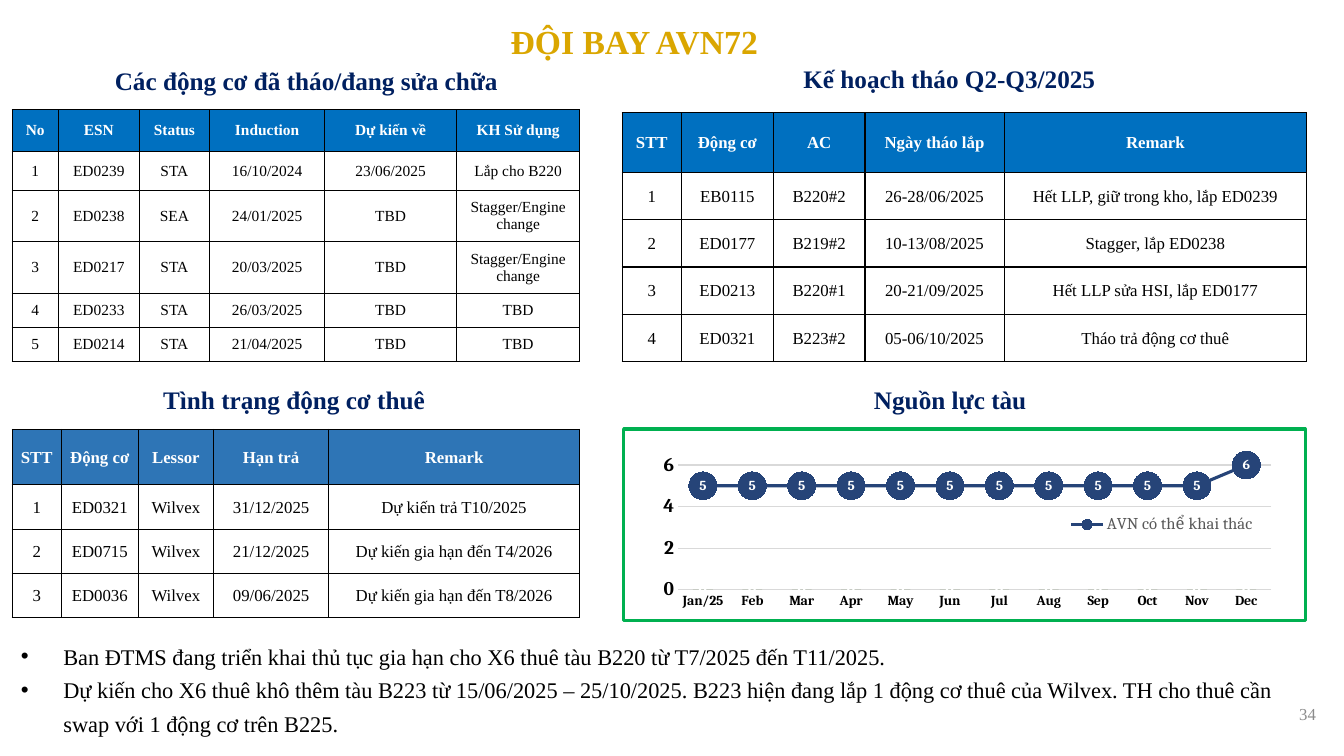
from dataclasses import dataclass

from lxml.etree import SubElement
from pptx import Presentation
from pptx.chart.chart import Chart
from pptx.chart.data import CategoryChartData
from pptx.dml.color import RGBColor
from pptx.enum.chart import (XL_CHART_TYPE, XL_LABEL_POSITION, XL_LEGEND_POSITION,
                             XL_MARKER_STYLE, XL_TICK_MARK)
from pptx.enum.text import MSO_ANCHOR, MSO_AUTO_SIZE, PP_ALIGN
from pptx.oxml import parse_xml
from pptx.oxml.ns import nsdecls, qn
from pptx.slide import Slide
from pptx.table import _Cell
from pptx.text.text import Font
from pptx.util import Inches, Pt

COLORS = {
    "gold": "DAA600", "navy": "002060", "header": "0070C0", "lease_header": "2E75B6",
    "black": "000000", "white": "FFFFFF", "grid": "D9D9D9", "legend": "595959",
    "number": "8C8C8C", "frame": "00B050", "bar": "43682B", "line": "264478",
}
SERIF = "Times New Roman"
CHART_FONT = "Cambria"


@dataclass
class Heading:
    text: str
    left: float
    top: float
    width: float


@dataclass
class TableSpec:
    left: float
    top: float
    columns: list[float]
    heights: list[float]
    size: int
    margins: tuple[float, float, float, float]
    header_color: str
    rows: list[list[str]]


HEADINGS = [
    Heading("Kế hoạch tháo Q2-Q3/2025", 7.87, 0.58, 3.13),
    Heading("Các động cơ đã tháo/đang sửa chữa", 1.04, 0.6, 4.04),
    Heading("Tình trạng động cơ thuê", 1.52, 3.76, 2.82),
    Heading("Nguồn lực tàu", 8.57, 3.76, 1.73),
]
TIGHT = (0.01, 0.01, 0.01, 0)
ROOMY = (0.13, 0.07, 0.13, 0.07)
TABLES = [
    TableSpec(6.17, 1.12, [0.59, 0.91, 0.91, 1.38, 3], [0.59] + [0.47] * 4, 12, TIGHT, "header", [
        ["STT", "Động cơ", "AC", "Ngày tháo lắp", "Remark"],
        ["1", "EB0115", "B220#2", "26-28/06/2025", "Hết LLP, giữ trong kho, lắp ED0239"],
        ["2", "ED0177", "B219#2", "10-13/08/2025", "Stagger, lắp ED0238"],
        ["3", "ED0213", "B220#1", "20-21/09/2025", "Hết LLP sửa HSI, lắp ED0177"],
        ["4", "ED0321", "B223#2", "05-06/10/2025", "Tháo trả động cơ thuê"],
    ]),
    TableSpec(0.12, 4.26, [0.49, 0.76, 0.75, 1.14, 2.49], [0.55] + [0.44] * 3, 12, TIGHT,
              "lease_header", [
        ["STT", "Động cơ", "Lessor", "Hạn trả", "Remark"],
        ["1", "ED0321", "Wilvex", "31/12/2025", "Dự kiến trả T10/2025"],
        ["2", "ED0715", "Wilvex", "21/12/2025", "Dự kiến gia hạn đến T4/2026"],
        ["3", "ED0036", "Wilvex", "09/06/2025", "Dự kiến gia hạn đến T8/2026"],
    ]),
    TableSpec(0.12, 1.09, [0.46, 0.8, 0.7, 1.14, 1.31, 1.22],
              [0.41, 0.39, 0.51, 0.51, 0.34, 0.34], 11, ROOMY, "header", [
        ["No", "ESN", "Status", "Induction", "Dự kiến về", "KH Sử dụng"],
        ["1", "ED0239", "STA", "16/10/2024", "23/06/2025", "Lắp cho B220"],
        ["2", "ED0238", "SEA", "24/01/2025", "TBD", "Stagger/Engine change"],
        ["3", "ED0217", "STA", "20/03/2025", "TBD", "Stagger/Engine change"],
        ["4", "ED0233", "STA", "26/03/2025", "TBD", "TBD"],
        ["5", "ED0214", "STA", "21/04/2025", "TBD", "TBD"],
    ]),
]
MONTHS = ["Jan/25", "Feb", "Mar", "Apr", "May", "Jun", "Jul", "Aug", "Sep", "Oct", "Nov", "Dec"]
NOTES = [
    "Ban ĐTMS đang triển khai thủ tục gia hạn cho X6 thuê tàu B220 từ T7/2025 đến T11/2025.",
    "Dự kiến cho X6 thuê khô thêm tàu B223 từ 15/06/2025 – 25/10/2025. B223 hiện đang lắp "
    "1 động cơ thuê của Wilvex. TH cho thuê cần swap với 1 động cơ trên B225.",
]


def color(name: str) -> RGBColor:
    return RGBColor.from_string(COLORS[name])


def style(font: Font, size: int, shade: str, bold: bool = False, name: str = SERIF) -> None:
    font.size, font.bold, font.name = Pt(size), bold, name
    font.color.rgb = color(shade)


def add_title(page: Slide, text: str) -> None:
    title = page.shapes.title
    title.left, title.top, title.width, title.height = map(Inches, (3.14, 0.16, 6.3, 0.5))
    frame = title.text_frame
    frame.text = text
    frame.auto_size = MSO_AUTO_SIZE.NONE
    frame.vertical_anchor = MSO_ANCHOR.TOP
    frame.paragraphs[0].alignment = PP_ALIGN.CENTER
    style(frame.paragraphs[0].runs[0].font, 24, "gold", True)


def add_heading(page: Slide, heading: Heading) -> None:
    box = page.shapes.add_textbox(*map(Inches, (heading.left, heading.top, heading.width, 0.4)))
    box.text_frame.text = heading.text
    box.text_frame.word_wrap = False
    style(box.text_frame.paragraphs[0].runs[0].font, 18, "navy", True)


def add_borders(cell: _Cell) -> None:
    properties = cell._tc.get_or_add_tcPr()
    for index, side in enumerate(("lnL", "lnR", "lnT", "lnB")):
        properties.insert(index, parse_xml(
            f'<a:{side} {nsdecls("a")} w="12700"><a:solidFill>'
            f'<a:srgbClr val="{COLORS["black"]}"/></a:solidFill></a:{side}>'))


def add_grid(page: Slide, spec: TableSpec) -> None:
    table = page.shapes.add_table(
        len(spec.rows), len(spec.columns), Inches(spec.left), Inches(spec.top),
        Inches(sum(spec.columns)), Inches(sum(spec.heights))).table
    table.first_row = table.horz_banding = False
    for column, width in zip(table.columns, spec.columns):
        column.width = Inches(width)
    for row, height, texts in zip(table.rows, spec.heights, spec.rows):
        row.height = Inches(height)
        is_header = texts is spec.rows[0]
        for cell, text in zip(row.cells, texts):
            cell.text = text
            cell.vertical_anchor = MSO_ANCHOR.MIDDLE
            (cell.margin_left, cell.margin_top,
             cell.margin_right, cell.margin_bottom) = map(Inches, spec.margins)
            paragraph = cell.text_frame.paragraphs[0]
            paragraph.alignment = PP_ALIGN.CENTER
            style(paragraph.runs[0].font, spec.size, "white" if is_header else "black", is_header)
            if is_header:
                cell.fill.solid()
                cell.fill.fore_color.rgb = color(spec.header_color)
            else:
                cell.fill.background()
            add_borders(cell)


def manual_layout(x: float, y: float, width: float, height: float, inner: bool = False):
    target = '<c:layoutTarget val="inner"/>' if inner else ""
    return parse_xml(
        f'<c:layout {nsdecls("c")}><c:manualLayout>{target}<c:xMode val="edge"/>'
        f'<c:yMode val="edge"/><c:x val="{x}"/><c:y val="{y}"/><c:w val="{width}"/>'
        f'<c:h val="{height}"/></c:manualLayout></c:layout>')


def move_last_series_to_line(chart: Chart) -> None:
    """Turn the last column series into a line on the same axes."""
    bars = chart.plots[0]._element
    line = parse_xml(f'<c:lineChart {nsdecls("c")}><c:grouping val="standard"/>'
                     '<c:varyColors val="0"/></c:lineChart>')
    series = bars.findall(qn("c:ser"))[-1]
    for bar_only in series.findall(qn("c:invertIfNegative")):
        series.remove(bar_only)
    line.append(series)
    SubElement(line, qn("c:marker")).set("val", "1")
    for axis in bars.findall(qn("c:axId")):
        SubElement(line, qn("c:axId")).set("val", axis.get("val"))
    bars.addnext(line)


def format_axes(chart: Chart) -> None:
    months, fleet = chart.category_axis, chart.value_axis
    for axis, size in ((months, 10), (fleet, 14)):
        axis.major_tick_mark = axis.minor_tick_mark = XL_TICK_MARK.NONE
        style(axis.tick_labels.font, size, "black", True, CHART_FONT)
    fleet.minimum_scale, fleet.maximum_scale, fleet.major_unit = 0, 7, 2
    fleet.format.line.fill.background()
    for line in (months.format.line, fleet.major_gridlines.format.line):
        line.color.rgb, line.width = color("grid"), Pt(0.75)


def add_fleet_chart(page: Slide) -> None:
    data = CategoryChartData()
    data.categories = MONTHS
    data.add_series("Series 1", [0] * 12)
    data.add_series("AVN có thể khai thác", [5] * 11 + [6])
    chart = page.shapes.add_chart(XL_CHART_TYPE.COLUMN_CLUSTERED,
                                  *map(Inches, (6.17, 4.24, 6.79, 1.93)), data).chart
    chart.has_title = False
    style(chart.font, 10, "black", name=CHART_FONT)
    move_last_series_to_line(chart)
    format_axes(chart)
    bars, line = chart.plots
    bars.gap_width, bars.vary_by_categories = 150, False
    base, fleet = bars.series[0], line.series[0]
    base.format.fill.solid()
    base.format.fill.fore_color.rgb = color("bar")
    fleet.smooth = False
    fleet.format.line.color.rgb, fleet.format.line.width = color("line"), Pt(2.25)
    fleet.marker.style, fleet.marker.size = XL_MARKER_STYLE.CIRCLE, 20
    fleet.marker.format.fill.solid()
    fleet.marker.format.fill.fore_color.rgb = color("line")
    fleet.marker.format.line.color.rgb = color("line")
    for series, size in ((base, 11), (fleet, 10)):
        labels = series.data_labels
        labels.show_value, labels.position = True, XL_LABEL_POSITION.CENTER
        style(labels.font, size, "white", True, CHART_FONT)
    add_fleet_legend(chart)
    plot_area = bars._element.getparent()
    for automatic in plot_area.findall(qn("c:layout")):
        plot_area.remove(automatic)
    plot_area.insert(0, manual_layout(0.08, 0.08, 0.87, 0.76, True))
    chart.font._element.getroottree().find(f".//{qn('c:chart')}").addnext(parse_xml(
        f'<c:spPr {nsdecls("c", "a")}><a:noFill/><a:ln w="28575"><a:solidFill>'
        f'<a:srgbClr val="{COLORS["frame"]}"/></a:solidFill></a:ln></c:spPr>'))


def add_fleet_legend(chart: Chart) -> None:
    """Place a legend inside the plot that leaves out the column series."""
    chart.has_legend = True
    legend = chart.legend
    legend.position, legend.include_in_layout = XL_LEGEND_POSITION.RIGHT, True
    style(legend.font, 12, "legend", name=CHART_FONT)
    element = legend._element
    for automatic in element.findall(qn("c:layout")):
        element.remove(automatic)
    element.insert(1, manual_layout(0.64, 0.42, 0.3, 0.16))
    element.insert(1, parse_xml(
        f'<c:legendEntry {nsdecls("c")}><c:idx val="0"/><c:delete val="1"/></c:legendEntry>'))


def add_notes(page: Slide) -> None:
    frame = page.shapes.add_textbox(*map(Inches, (0.11, 6.26, 12.64, 1.08))).text_frame
    frame.word_wrap = True
    frame.text = "\n".join(NOTES)
    for paragraph in frame.paragraphs:
        properties = paragraph._p.get_or_add_pPr()
        properties.set("marL", str(Inches(0.42)))
        properties.set("indent", str(-Inches(0.42)))
        SubElement(properties, qn("a:buFont")).set("typeface", "Arial")
        SubElement(properties, qn("a:buChar")).set("char", "•")
        paragraph.line_spacing = 1.25
        style(paragraph.runs[0].font, 16, "black")


def add_page_number(page: Slide, number: str) -> None:
    frame = page.shapes.add_textbox(*map(Inches, (12.35, 6.8, 0.8, 0.57))).text_frame
    frame.text = number
    frame.word_wrap = True
    frame.vertical_anchor = MSO_ANCHOR.MIDDLE
    frame.paragraphs[0].alignment = PP_ALIGN.RIGHT
    style(frame.paragraphs[0].runs[0].font, 12, "number")


def main() -> None:
    deck = Presentation()
    deck.slide_width, deck.slide_height = Inches(13.33), Inches(7.5)
    page = deck.slides.add_slide(deck.slide_layouts[5])
    add_page_number(page, "34")
    add_title(page, "ĐỘI BAY AVN72")
    for heading in HEADINGS:
        add_heading(page, heading)
    for spec in TABLES:
        add_grid(page, spec)
    add_fleet_chart(page)
    add_notes(page)
    deck.save("out.pptx")


if __name__ == "__main__":
    main()
